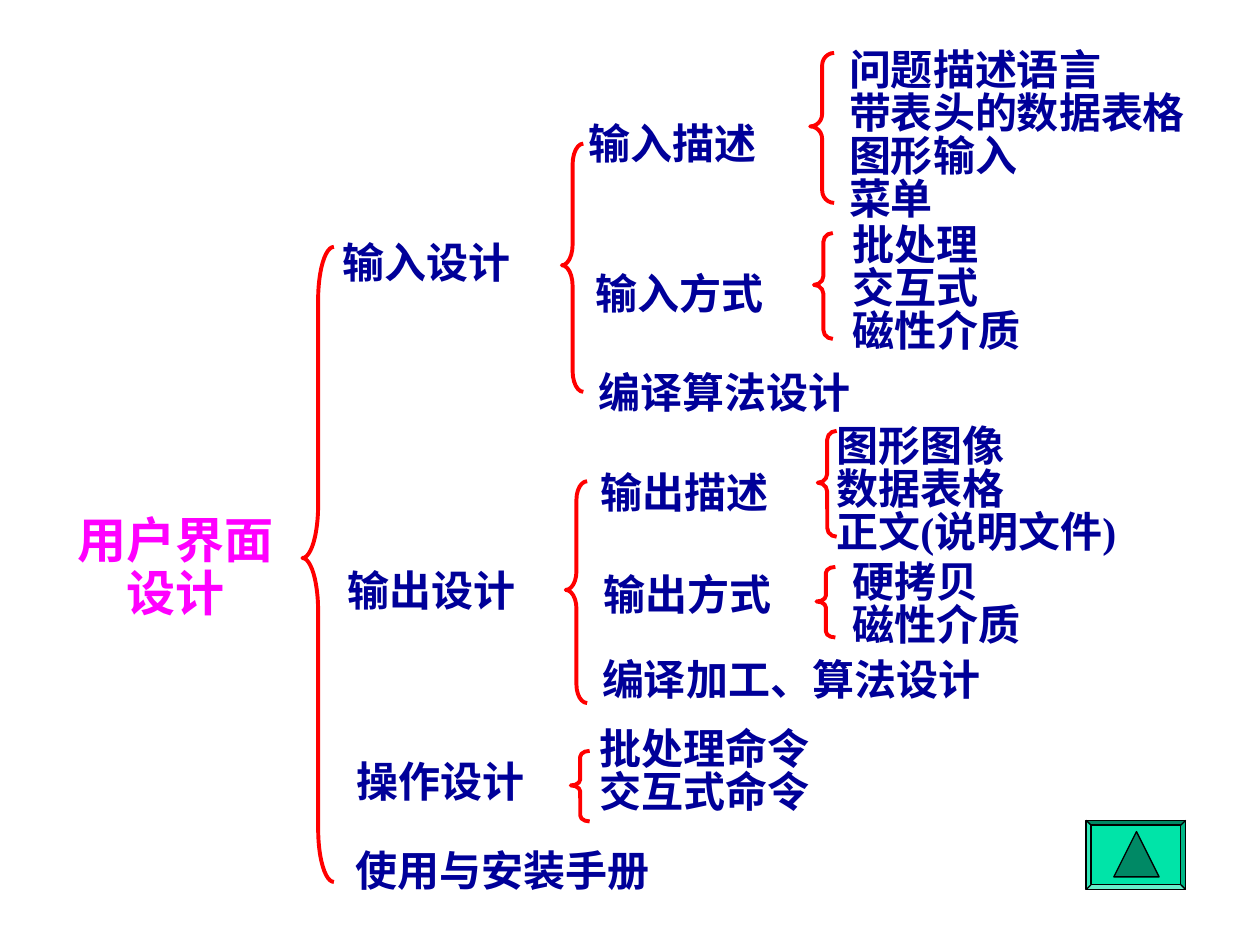
from pptx import Presentation
from pptx.dml.color import RGBColor
from pptx.enum.shapes import MSO_SHAPE
from pptx.enum.text import MSO_ANCHOR, MSO_AUTO_SIZE, PP_ALIGN
from pptx.util import Inches, Pt

BRACE, BEVEL = MSO_SHAPE.LEFT_BRACE, MSO_SHAPE.BEVEL
ARROW = MSO_SHAPE.ISOSCELES_TRIANGLE
FONT, NAVY, PINK, RED = "Times New Roman", "000099", "FF00FF", "FF0000"
GREEN, DARK, BLACK = "00E4A8", "008965", "000000"

ROOT = "用户界面设计"
# left, top, text: headings that stand beside a brace
HEADS = [
    (2.62, 1.87, "输入设计"),
    (4.57, 0.93, "输入描述"),
    (4.63, 2.12, "输入方式"),
    (2.66, 4.48, "输出设计"),
    (4.67, 3.70, "输出描述"),
    (4.69, 4.51, "输出方式"),
    (2.73, 5.99, "操作设计"),
]
# left, top, width, lines: end points of the tree
LEAVES = [
    (6.64, 0.36, 2.90, ["问题描述语言", "带表头的数据表格", "图形输入", "菜单"]),
    (6.67, 1.75, 1.56, ["批处理", "交互式", "磁性介质"]),
    (4.65, 2.86, 2.23, ["编译算法设计"]),
    (6.54, 3.34, 2.69, ["图形图像", "数据表格", "正文(说明文件)"]),
    (6.67, 4.42, 1.56, ["硬拷贝", "磁性介质"]),
    (4.68, 5.14, 3.23, ["编译加工、算法设计"]),
    (4.66, 5.75, 1.90, ["批处理命令", "交互式命令"]),
    (2.72, 6.65, 2.56, ["使用与安装手册"]),
]
# left, top, width, height
BRACES = [
    (2.40, 1.96, 0.25, 5.04),
    (4.46, 1.14, 0.17, 1.97),
    (4.49, 3.82, 0.17, 1.76),
    (4.53, 5.96, 0.15, 0.56),
    (6.43, 0.42, 0.19, 1.19),
    (6.46, 1.85, 0.15, 0.84),
    (6.49, 3.42, 0.15, 0.84),
    (6.48, 4.50, 0.15, 0.56),
]


def color(code):
    return RGBColor.from_string(code)


def style(par, size, code, gap):
    par.line_spacing = gap
    font = par.font
    font.name, font.size, font.bold = FONT, Pt(size), True
    font.color.rgb = color(code)


def label(left, top, width, lines, gap, wrap):
    """Text box whose height follows from its line count and spacing."""
    high = 0.1 + 0.4 * gap * len(lines)
    box = slide.shapes.add_textbox(*map(Inches, (left, top, width, high)))
    frame = box.text_frame
    frame.word_wrap = wrap
    frame.auto_size = MSO_AUTO_SIZE.SHAPE_TO_FIT_TEXT
    frame.text = "\n".join(lines)
    for par in frame.paragraphs:
        style(par, 24, NAVY, gap)


def shape(kind, place, fill, line, weight):
    item = slide.shapes.add_shape(kind, *map(Inches, place))
    item.shadow.inherit = False
    if fill:
        item.fill.solid()
        item.fill.fore_color.rgb = color(fill)
    else:
        item.fill.background()
    item.line.color.rgb = color(line)
    item.line.width = Pt(weight)
    return item


prs = Presentation()
prs.slide_width, prs.slide_height = Inches(10), Inches(7.5)
slide = prs.slides.add_slide(prs.slide_layouts[5])

title = slide.shapes.title
title.left, title.top = Inches(0.43), Inches(4.05)
title.width, title.height = Inches(1.92), Inches(0.94)
frame = title.text_frame
frame.text = ROOT
frame.word_wrap = True
frame.auto_size = MSO_AUTO_SIZE.NONE
frame.vertical_anchor = MSO_ANCHOR.TOP
frame.paragraphs[0].alignment = PP_ALIGN.CENTER
style(frame.paragraphs[0], 28, PINK, 0.9)

for left, top, text in HEADS:
    label(left, top, 1.92, [text], 0.9, True)
for left, top, width, lines in LEAVES:
    label(left, top, width, lines, 0.85 if len(lines) > 1 else 1, False)

for place in BRACES:
    brace = shape(BRACE, place, None, RED, 2.25)
    # Each curve spans a twelfth of the height
    brace.adjustments[0] = place[3] / place[2] / 12
    brace.adjustments[1] = 0.49

button = shape(BEVEL, (8.74, 6.39, 0.55, 0.79), GREEN, BLACK, 0.75)
button.rotation = 270
button.adjustments[0] = 0.07
shape(ARROW, (8.84, 6.6, 0.36, 0.36), DARK, BLACK, 0.75)

prs.save("out.pptx")
